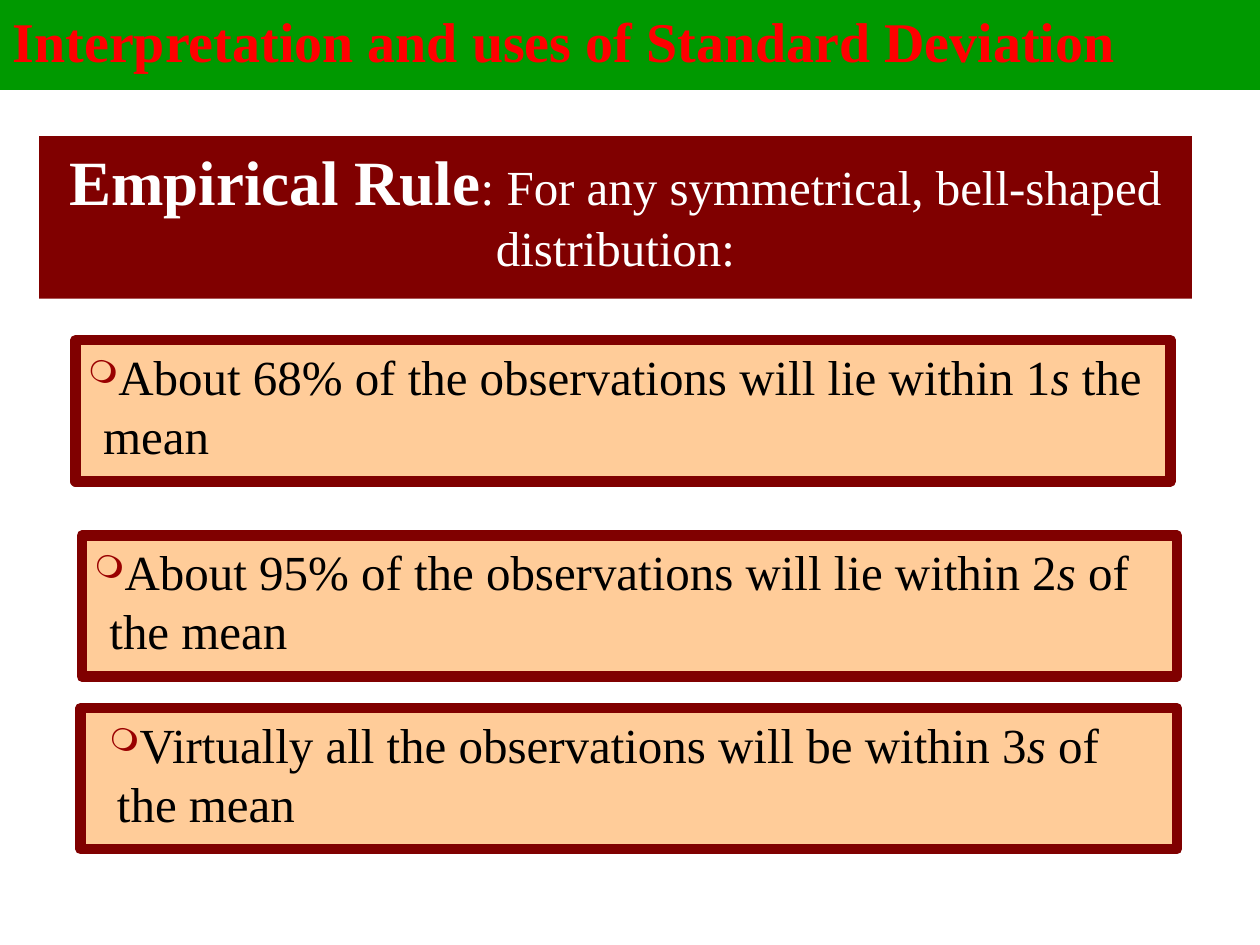
from dataclasses import dataclass

from lxml.etree import SubElement
from pptx import Presentation
from pptx.dml.color import RGBColor
from pptx.enum.shapes import MSO_SHAPE
from pptx.enum.text import MSO_ANCHOR, PP_ALIGN
from pptx.oxml.ns import qn
from pptx.util import Inches, Pt


@dataclass(frozen=True)
class Theme:
    font: str = "Times New Roman"
    green: str = "009900"
    red: str = "FF0000"
    maroon: str = "800000"
    peach: str = "FFCC99"
    bullet: str = "990000"
    white: str = "FFFFFF"
    black: str = "000000"
    title_size: int = 32
    lead_size: int = 36
    body_size: int = 28


THEME = Theme()


def place(shape, box):
    shape.left, shape.top, shape.width, shape.height = map(Inches, box)


def paint(shape, fill, line=None, line_width=0.75):
    shape.fill.solid()
    shape.fill.fore_color.rgb = RGBColor.from_string(fill)
    if line:
        shape.line.color.rgb = RGBColor.from_string(line)
        shape.line.width = Pt(line_width)
    else:
        shape.line.fill.background()


def add_text(paragraph, text, size=THEME.body_size, color=THEME.black, bold=False, italic=False):
    run = paragraph.add_run()
    run.text = text
    font = run.font
    font.name, font.size, font.bold, font.italic = THEME.font, Pt(size), bold, italic
    font.color.rgb = RGBColor.from_string(color)


def add_bullet(paragraph, margin, indent):
    properties = paragraph._p.get_or_add_pPr()
    properties.set("marL", str(Inches(margin)))
    properties.set("indent", str(Inches(indent)))
    color = SubElement(properties, qn("a:buClr"))
    SubElement(color, qn("a:srgbClr"), val=THEME.bullet)
    SubElement(properties, qn("a:buSzPct"), val="65000")
    SubElement(properties, qn("a:buChar"), char="❍")


def add_box(slide, box, anchor=MSO_ANCHOR.TOP):
    shape = slide.shapes.add_shape(MSO_SHAPE.RECTANGLE, *map(Inches, box))
    shape.shadow.inherit = False
    shape.text_frame.word_wrap = True
    shape.text_frame.vertical_anchor = anchor
    return shape


def fill_title(slide, box, text):
    title = slide.shapes.title
    place(title, box)
    paint(title, THEME.green, THEME.green)
    title.text_frame.vertical_anchor = MSO_ANCHOR.MIDDLE
    paragraph = title.text_frame.paragraphs[0]
    paragraph.alignment = PP_ALIGN.LEFT
    paragraph.line_spacing = 0.9
    add_text(paragraph, text, size=THEME.title_size, color=THEME.red, bold=True)


def add_banner(slide, box, lead, text):
    banner = add_box(slide, box)
    paint(banner, THEME.maroon)
    paragraph = banner.text_frame.paragraphs[0]
    paragraph.alignment = PP_ALIGN.CENTER
    add_text(paragraph, lead, size=THEME.lead_size, color=THEME.white, bold=True)
    add_text(paragraph, text, color=THEME.white)


def add_rule(slide, box, start, end, margin=0.12, indent=-0.12):
    rule = add_box(slide, box)
    paint(rule, THEME.peach, THEME.maroon, 6)
    paragraph = rule.text_frame.paragraphs[0]
    paragraph.alignment = PP_ALIGN.LEFT
    add_bullet(paragraph, margin, indent)
    add_text(paragraph, start)
    add_text(paragraph, "s", italic=True)
    add_text(paragraph, end)


def main():
    presentation = Presentation()
    presentation.slide_width, presentation.slide_height = Inches(10), Inches(7.5)
    slide = presentation.slides.add_slide(presentation.slide_layouts[5])
    fill_title(slide, (0, 0, 10, 0.71), "Interpretation and uses of Standard Deviation")
    add_banner(slide, (0.31, 1.08, 9.15, 1.29), "Empirical Rule",
               ": For any symmetrical, bell-shaped distribution:")
    add_rule(slide, (0.6, 2.7, 8.69, 1.12),
             "About 68% of the observations will lie within 1", " the mean")
    add_rule(slide, (0.65, 4.25, 8.69, 1.12),
             "About 95% of the observations will lie within 2", " of the mean")
    add_rule(slide, (0.64, 5.62, 8.7, 1.12),
             "Virtually all the observations will be within 3", " of the mean",
             margin=0.19, indent=-0.06)
    presentation.save("out.pptx")


if __name__ == "__main__":
    main()
